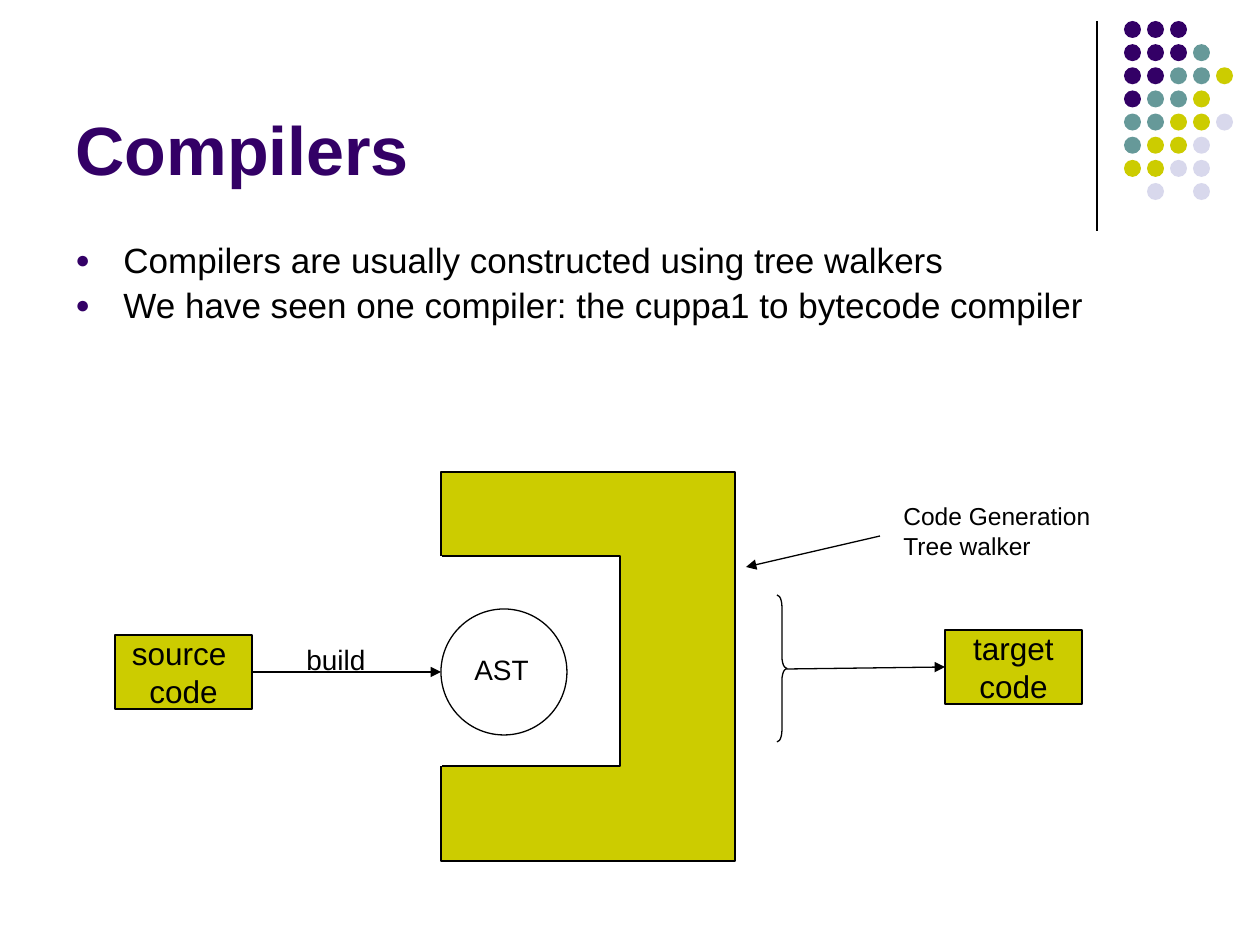
"""Build the slide about compilers and tree walkers."""
import pptx
import pptx.dml.color
import pptx.enum.shapes
import pptx.enum.text
import pptx.oxml
import pptx.oxml.ns
import pptx.util

EMU_PER_PX = 914400 / 126
PURPLE = pptx.dml.color.RGBColor(0x33, 0x00, 0x66)
TEAL = pptx.dml.color.RGBColor(0x66, 0x99, 0x99)
OLIVE = pptx.dml.color.RGBColor(0xCC, 0xCC, 0x00)
LAVENDER = pptx.dml.color.RGBColor(0xD8, 0xD8, 0xEC)
BLACK = pptx.dml.color.RGBColor(0, 0, 0)
WHITE = pptx.dml.color.RGBColor(255, 255, 255)
DOT_COLORS = {"P": PURPLE, "T": TEAL, "O": OLIVE, "L": LAVENDER}
DOT_ROWS = ("PPP", "PPPT", "PPTTO", "PTTO", "TTOOL", "TOOL", "OOLL", " L L")
SHAPES = pptx.enum.shapes.MSO_SHAPE
ANCHOR = pptx.enum.text.MSO_ANCHOR
ALIGN = pptx.enum.text.PP_ALIGN


def px(*lengths):
    """Turn lengths in px into EMU."""
    return [pptx.util.Emu(round(length * EMU_PER_PX)) for length in lengths]


def add_child(parent, tag, **attributes):
    """Append a DrawingML element to its parent."""
    element = pptx.oxml.parse_xml(f"<a:{tag} {pptx.oxml.ns.nsdecls('a')}/>")
    for name, value in attributes.items():
        element.set(name, value)
    parent.append(element)
    return element


def add_bullet(paragraph):
    """Give a paragraph a hanging purple bullet."""
    properties = paragraph._p.get_or_add_pPr()
    indent = px(48)[0]
    properties.set("marL", str(indent))
    properties.set("indent", str(-indent))
    color = add_child(properties, "buClr")
    add_child(color, "srgbClr", val=str(PURPLE))
    add_child(properties, "buSzPct", val="70000")
    add_child(properties, "buFont", typeface="Arial")
    add_child(properties, "buChar", char="●")


def write_text(shape, lines, size=16, color=BLACK, bold=False, align=ALIGN.LEFT,
               anchor=ANCHOR.TOP, wrap=False, bullets=False):
    """Write one paragraph for each line into a shape."""
    frame = shape.text_frame
    frame.word_wrap = wrap
    frame.vertical_anchor = anchor
    for index, line in enumerate(lines):
        paragraph = frame.add_paragraph() if index else frame.paragraphs[0]
        paragraph.text = line
        paragraph.alignment = align
        if bullets:
            add_bullet(paragraph)
            paragraph.line_spacing = 0.9
            if index:
                paragraph.space_before = pptx.util.Pt(4)
        paragraph.font.name = "Arial"
        paragraph.font.size = pptx.util.Pt(size)
        paragraph.font.bold = bold
        paragraph.font.color.rgb = color


def add_text(slide, box, lines, **text_format):
    """Add a text box."""
    write_text(slide.shapes.add_textbox(*px(*box)), lines, **text_format)


def add_shape(slide, kind, box, fill=None, line=BLACK):
    """Add a flat preset shape."""
    shape = slide.shapes.add_shape(kind, *px(*box))
    shape.shadow.inherit = False
    if fill is None:
        shape.fill.background()
    else:
        shape.fill.solid()
        shape.fill.fore_color.rgb = fill
    if line is None:
        shape.line.fill.background()
    else:
        shape.line.color.rgb = line
        shape.line.width = pptx.util.Pt(0.75)
    return shape


def add_line(slide, start, end, color=BLACK, arrow=False):
    """Add a straight line, with an arrowhead at its end if asked."""
    straight = pptx.enum.shapes.MSO_CONNECTOR.STRAIGHT
    connector = slide.shapes.add_connector(straight, *px(*start, *end))
    connector.line.color.rgb = color
    connector.line.width = pptx.util.Pt(0.75)
    if arrow:
        add_child(connector.line._get_or_add_ln(), "tailEnd", type="triangle")
    add_child(connector._element.spPr, "effectLst")
    return connector


def add_dot_corner(slide, left, top, width, height):
    """Draw the vertical rule and the grid of colored dots."""
    dot, grid_left = 17, left + 27
    add_line(slide, (left, top), (left, top + height))
    for row, codes in enumerate(DOT_ROWS):
        for column, code in enumerate(codes):
            if code in DOT_COLORS:
                x = grid_left + column * (width - 27 - dot) / 4
                y = top + row * 162 / (len(DOT_ROWS) - 1)
                add_shape(slide, SHAPES.OVAL, (x, y, dot, dot), DOT_COLORS[code], None)


def add_heading(slide, left, top, width, height):
    """Place the title and the bullets below it."""
    add_text(slide, (left, top, width, 179), ["Compilers"], size=39, color=PURPLE,
             bold=True, anchor=ANCHOR.BOTTOM, wrap=True)
    add_text(slide, (left, top + 221, 1134, height - 221),
             ["Compilers are usually constructed using tree walkers",
              "We have seen one compiler: the cuppa1 to bytecode compiler"],
             size=20, wrap=True, bullets=True)


def add_tree_walker(slide, left, top, width, height):
    """Draw the tree walker wrapped around the AST."""
    notch_top, notch_height = top + 84, 210
    add_shape(slide, SHAPES.RECTANGLE, (left, top, width, height), OLIVE)
    add_shape(slide, SHAPES.RECTANGLE, (left, notch_top, 179, notch_height), WHITE)
    add_line(slide, (left, notch_top), (left, notch_top + notch_height), WHITE)
    add_shape(slide, SHAPES.OVAL, (left, top + 137, 126, 126))
    add_text(slide, (left + 21, top + 174, 90, 47), ["AST"])


def add_code_box(slide, left, top, label):
    """Draw a labelled code box."""
    box = add_shape(slide, SHAPES.RECTANGLE, (left, top, 137, 74), OLIVE)
    write_text(box, [label], size=18, align=ALIGN.CENTER, anchor=ANCHOR.MIDDLE)
    return box


def add_compiler_diagram(slide, left, top, width, height):
    """Draw the flow from source code to target code."""
    walker_left = left + 326
    add_tree_walker(slide, walker_left, top, 294, height)
    add_line(slide, (left + 765, top + 64), (left + 631, top + 95), arrow=True)
    source = add_code_box(slide, left, top + 163, "source \vcode")
    target = add_code_box(slide, left + width - 137, top + 158, "target\vcode")
    build = add_line(slide, (left + 137, top + 200), (walker_left, top + 200), arrow=True)
    build.begin_connect(source, 3)
    add_text(slide, (left + 179, top + 164, 90, 47), ["build"])
    brace = add_shape(slide, SHAPES.RIGHT_BRACE, (left + 662, top + 123, 10, 147))
    brace.adjustments[0] = 1.17
    emit = add_line(slide, (left + 672, top + 197), (left + width - 137, top + 195), arrow=True)
    emit.end_connect(target, 1)
    add_text(slide, (left + 776, top + 23, 220, 72), ["Code Generation", "Tree walker"], size=14)


def main():
    """Build and save the presentation."""
    presentation = pptx.Presentation()
    presentation.slide_width, presentation.slide_height = px(1260, 945)
    slide = presentation.slides.add_slide(presentation.slide_layouts[6])
    add_dot_corner(slide, 1097, 21, 136, 210)
    add_heading(slide, 63, 16, 1040, 372)
    add_compiler_diagram(slide, 115, 472, 967, 389)
    presentation.save("out.pptx")


if __name__ == "__main__":
    main()
